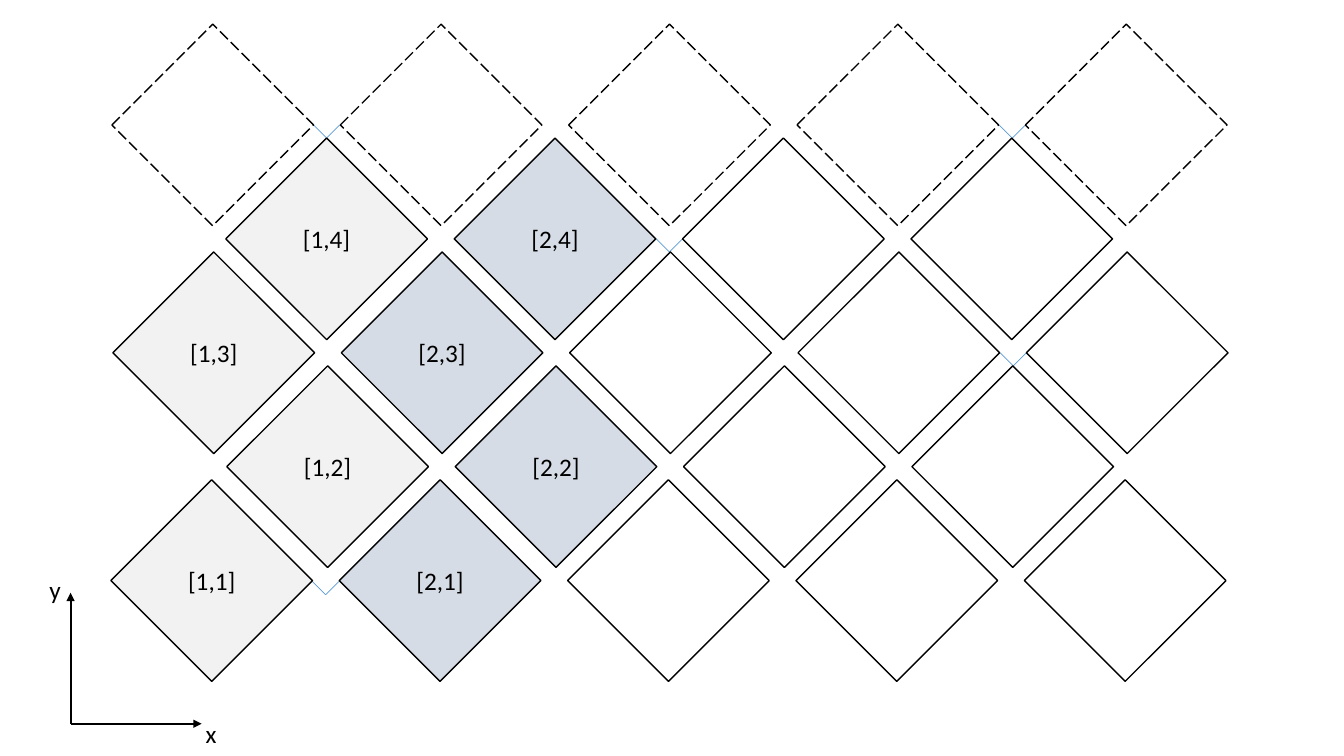
from dataclasses import dataclass

from lxml import etree
from pptx import Presentation
from pptx.dml.color import RGBColor
from pptx.enum.dml import MSO_LINE
from pptx.enum.shapes import MSO_CONNECTOR, MSO_SHAPE
from pptx.enum.text import MSO_ANCHOR, MSO_AUTO_SIZE, PP_ALIGN
from pptx.oxml.ns import qn
from pptx.util import Inches, Pt

DIAMOND = MSO_SHAPE.DIAMOND
LONG_DASH = MSO_LINE.LONG_DASH
STRAIGHT = MSO_CONNECTOR.STRAIGHT
MIDDLE = MSO_ANCHOR.MIDDLE
CENTER = PP_ALIGN.CENTER
FIT_SHAPE = MSO_AUTO_SIZE.SHAPE_TO_FIT_TEXT
BLANK_LAYOUT = 6


@dataclass(frozen=True)
class Theme:
    """Colours, font and sizes used on the slide."""
    ink: RGBColor = RGBColor(0x00, 0x00, 0x00)
    notch: RGBColor = RGBColor(0x5B, 0x9B, 0xD5)
    columns: tuple = (RGBColor(0xF2, 0xF2, 0xF2), RGBColor(0xD6, 0xDC, 0xE5))
    font: str = "Calibri"
    text_size: Pt = Pt(18)
    outline: Pt = Pt(1)
    notch_line: Pt = Pt(0.5)
    axis_line: Pt = Pt(1.5)


THEME = Theme()


def add_label(paragraph, text):
    """Add one run of label text to a paragraph."""
    run = paragraph.add_run()
    run.text = text
    run.font.name = THEME.font
    run.font.size = THEME.text_size
    run.font.color.rgb = THEME.ink


def add_line(slide, start, end, color, width, arrow=False):
    """Draw a straight line between two points given in inches."""
    line = slide.shapes.add_connector(
        STRAIGHT, *(Inches(value) for value in (*start, *end)))
    line.line.color.rgb = color
    line.line.width = width
    properties = line._element.spPr
    if arrow:
        outline = line.line._get_or_add_ln()
        etree.SubElement(outline, qn("a:tailEnd"), type="triangle")
    etree.SubElement(properties, qn("a:effectLst"))


presentation = Presentation()
presentation.slide_width = Inches(13.33)
presentation.slide_height = Inches(7.5)
slide = presentation.slides.add_slide(presentation.slide_layouts[BLANK_LAYOUT])

# Notches joining neighbouring diamonds, by their lowest point
NOTCH = 0.13
for x, y in [(3.24, 1.37), (6.64, 2.5), (10.04, 1.37), (10.05, 3.63), (3.23, 5.9)]:
    for side in (-NOTCH, NOTCH):
        add_line(slide, (x + side, y - NOTCH), (x, y),
                 THEME.notch, THEME.notch_line)

# Staggered lattice: the top row is dashed, the first two columns are labelled
DIAMOND_SIZE = 2
TOP = 0.24
ROW_STEP = 1.13
COLUMN_STEP = 2 * ROW_STEP + 0.005
ROWS = [(1.11, 5), (2.24, 4), (1.12, 5), (2.25, 4), (1.1, 5)]
for row, (left, count) in enumerate(ROWS):
    for column in range(count):
        diamond = slide.shapes.add_shape(
            DIAMOND, Inches(left + column * COLUMN_STEP),
            Inches(TOP + row * ROW_STEP),
            Inches(DIAMOND_SIZE), Inches(DIAMOND_SIZE))
        diamond.shadow.inherit = False
        diamond.line.color.rgb = THEME.ink
        diamond.line.width = THEME.outline
        if row == 0:
            diamond.line.dash_style = LONG_DASH
        if row == 0 or column >= len(THEME.columns):
            diamond.fill.background()
            continue
        diamond.fill.solid()
        diamond.fill.fore_color.rgb = THEME.columns[column]
        diamond.text_frame.vertical_anchor = MIDDLE
        paragraph = diamond.text_frame.paragraphs[0]
        paragraph.alignment = CENTER
        add_label(paragraph, f"[{column + 1},{len(ROWS) - row}]")

# Axes
ORIGIN = (0.7, 7.18)
for end in [(2, 7.18), (0.7, 5.88)]:
    add_line(slide, ORIGIN, end, THEME.ink, THEME.axis_line, arrow=True)

for name, left, top, width, wrap in [("x", 1.94, 7.08, 0.26, True),
                                     ("y", 0.39, 5.65, 0.32, False)]:
    axis_label = slide.shapes.add_textbox(
        Inches(left), Inches(top), Inches(width), Inches(0.4))
    axis_label.text_frame.word_wrap = wrap
    axis_label.text_frame.auto_size = FIT_SHAPE
    add_label(axis_label.text_frame.paragraphs[0], name)

presentation.save("out.pptx")
